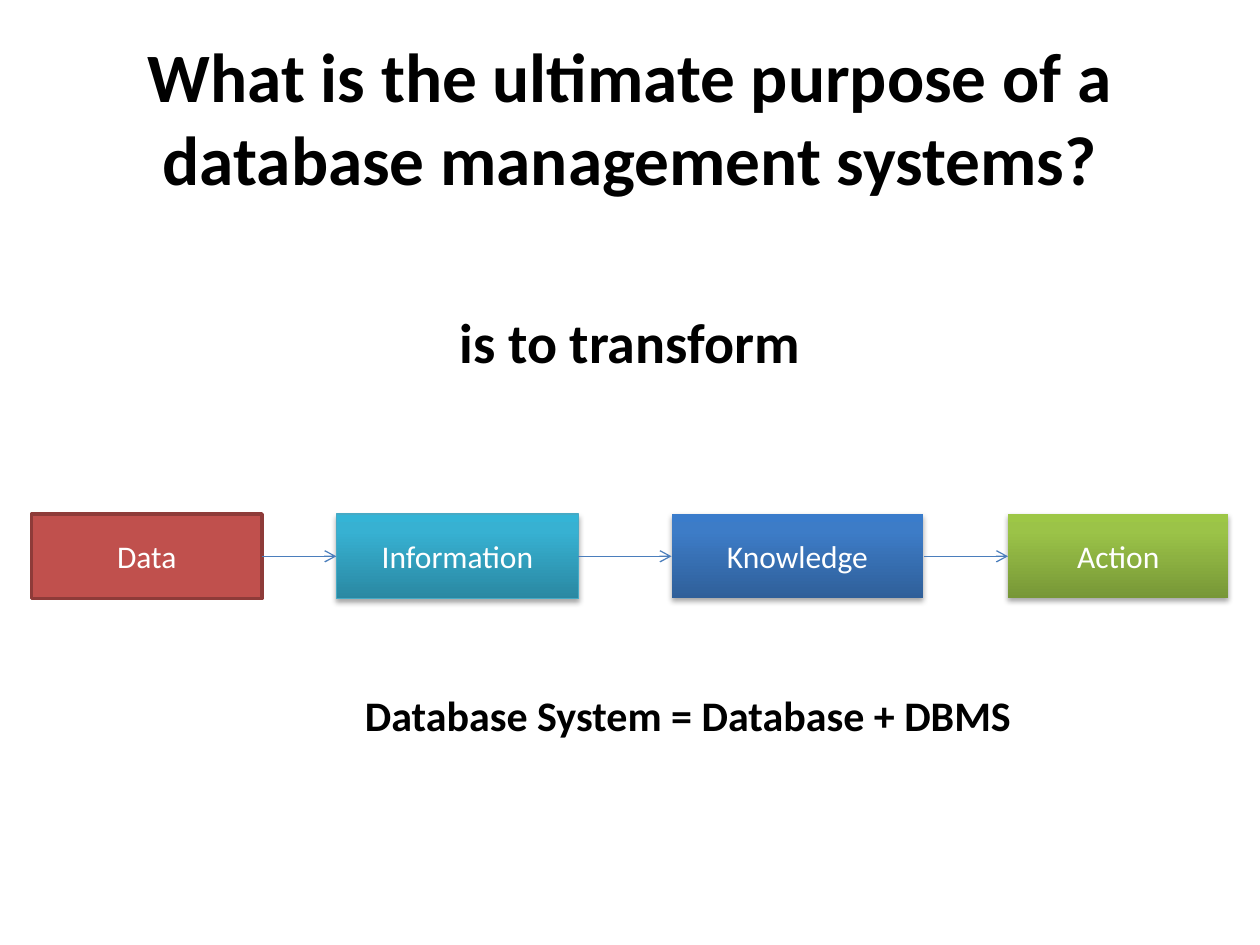
from copy import deepcopy

from lxml import etree
from pptx import Presentation
from pptx.dml.color import RGBColor
from pptx.enum import shapes, text
from pptx.oxml import parse_xml
from pptx.oxml.ns import nsdecls, qn
from pptx.util import Inches, Pt

COLORS = {
    "ink": "000000",
    "white": "FFFFFF",
    "data": "C0504D",
    "data edge": "8E3B39",
    "information edge": "46AAC5",
    "arrow": "4B7EBC",
}
# Gradient colours at 0, 80 and 100 percent, from bottom to top
GRADIENTS = {
    "Information": ("2A88A2", "37B1D2", "34B4D6"),
    "Knowledge": ("2F5F99", "3D7CC7", "3A7CCB"),
    "Action": ("779737", "9BC348", "9DC746"),
}
SHADOW = f"""<a:effectLst {nsdecls('a')}>
  <a:outerShdw blurRad="{Pt(3.1)}" dist="{Pt(1.8)}" dir="5400000" rotWithShape="0">
    <a:srgbClr val="000000"><a:alpha val="35000"/></a:srgbClr>
  </a:outerShdw>
</a:effectLst>"""


def write(shape, words, size, color="ink", bold=False, anchor=text.MSO_ANCHOR.TOP):
    frame = shape.text_frame
    frame.word_wrap = True
    frame.auto_size = text.MSO_AUTO_SIZE.NONE
    frame.vertical_anchor = anchor
    para = frame.paragraphs[0]
    para.alignment = text.PP_ALIGN.CENTER
    span = para.add_run()
    span.text = words
    span.font.name = "Calibri"
    span.font.size = Pt(size)
    span.font.bold = bold
    span.font.color.rgb = RGBColor.from_string(COLORS[color])


def fill_gradient(shape, colors):
    """Fill with three stops running upward, and add a soft shadow below."""
    shape.fill.gradient()
    shape.fill.gradient_angle = 90
    stop_list = shape.fill._fill._gradFill.find(qn("a:gsLst"))
    stop_list.append(deepcopy(stop_list[-1]))
    for stop, position, color in zip(shape.fill.gradient_stops, (0, 0.8, 1), colors):
        stop.position = position
        stop.color.rgb = RGBColor.from_string(color)
    properties = shape._element.spPr
    properties.remove(properties.find(qn("a:effectLst")))
    properties.append(parse_xml(SHADOW))


deck = Presentation()
deck.slide_width, deck.slide_height = Inches(10), Inches(7.5)
page = deck.slides.add_slide(deck.slide_layouts[5])

title = page.shapes.title
title.left, title.top = Inches(0.5), Inches(0.3)
title.width, title.height = Inches(9), Inches(1.25)
write(title, "What is the ultimate purpose of a database management systems?",
      39.6, bold=True, anchor=text.MSO_ANCHOR.MIDDLE)

subtitle = page.shapes.add_textbox(Inches(0.5), Inches(2.39), Inches(9), Inches(0.64))
write(subtitle, "is to transform", 32, bold=True)

# Chain of steps: label, left, width, edge colour, edge width
steps = [
    ("Data", 0.25, 1.83, "data edge", 2),
    ("Information", 2.67, 1.92, "information edge", 0.75),
    ("Knowledge", 5.33, 2, None, 0),
    ("Action", 8, 1.75, None, 0),
]
boxes = []
for label, left, width, edge, edge_width in steps:
    box = page.shapes.add_shape(shapes.MSO_SHAPE.RECTANGLE, Inches(left), Inches(4.08),
                                Inches(width), Inches(0.67))
    box.shadow.inherit = False
    if edge:
        box.line.color.rgb = RGBColor.from_string(COLORS[edge])
        box.line.width = Pt(edge_width)
    else:
        box.line.fill.background()
    if label in GRADIENTS:
        fill_gradient(box, GRADIENTS[label])
    else:
        box.fill.solid()
        box.fill.fore_color.rgb = RGBColor.from_string(COLORS["data"])
    write(box, label, 18, color="white", anchor=text.MSO_ANCHOR.MIDDLE)
    boxes.append(box)

RIGHT_SIDE, LEFT_SIDE = 3, 1
for source, target in zip(boxes, boxes[1:]):
    arrow = page.shapes.add_connector(shapes.MSO_CONNECTOR.STRAIGHT, 0, 0, 0, 0)
    arrow.begin_connect(source, RIGHT_SIDE)
    arrow.end_connect(target, LEFT_SIDE)
    arrow.line.color.rgb = RGBColor.from_string(COLORS["arrow"])
    arrow.line.width = Pt(0.75)
    etree.SubElement(arrow.line._get_or_add_ln(), qn("a:tailEnd"), type="arrow")
    etree.SubElement(arrow._element.spPr, qn("a:effectLst"))

equation = page.shapes.add_textbox(Inches(2.17), Inches(5.42), Inches(6.58), Inches(0.5))
write(equation, "Database System = Database + DBMS", 24, bold=True)

deck.save("out.pptx")
